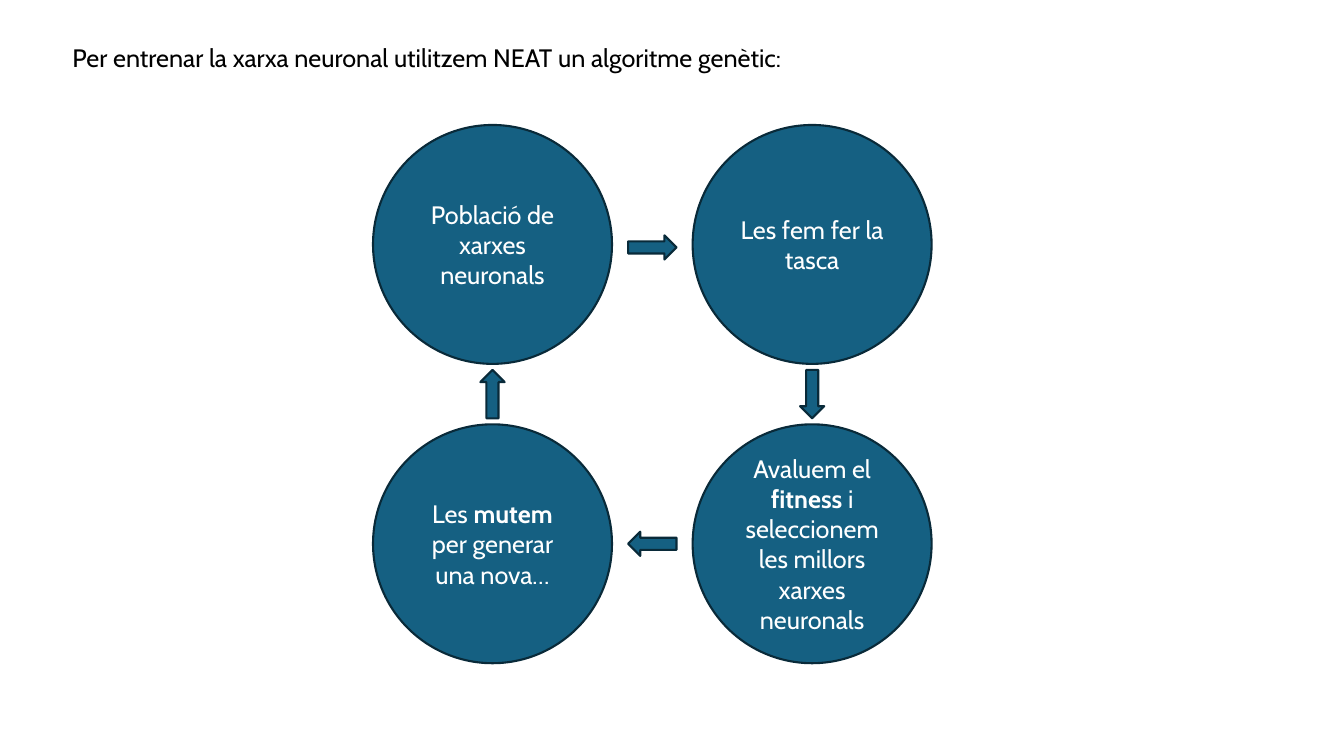
from pptx import Presentation
from pptx.dml.color import RGBColor
from pptx.enum.shapes import MSO_SHAPE
from pptx.enum.text import MSO_ANCHOR, MSO_AUTO_SIZE, PP_ALIGN
from pptx.util import Inches, Pt

OVAL, ARROW = MSO_SHAPE.OVAL, MSO_SHAPE.RIGHT_ARROW
MIDDLE, FIT_SHAPE = MSO_ANCHOR.MIDDLE, MSO_AUTO_SIZE.SHAPE_TO_FIT_TEXT
LEFT, CENTER = PP_ALIGN.LEFT, PP_ALIGN.CENTER

BLACK = RGBColor(0x00, 0x00, 0x00)
WHITE = RGBColor(0xFF, 0xFF, 0xFF)
BLUE = RGBColor(0x15, 0x60, 0x82)
NAVY = RGBColor(0x09, 0x2A, 0x39)

DIAMETER = 2.37
COLUMNS = (3.7, 6.87)
ROWS = (1.24, 4.21)
ARROW_LENGTH, ARROW_HEIGHT = 0.48, 0.24


def write_text(frame, text, color=BLACK, align=LEFT, size=18, font="Cabin"):
    """Fill the first paragraph; parts between asterisks become bold."""
    para = frame.paragraphs[0]
    para.alignment = align
    for index, part in enumerate(text.split("*")):
        span = para.add_run()
        span.text = part
        span.font.name = font
        span.font.size = Pt(size)
        span.font.bold = index % 2 == 1
        span.font.color.rgb = color


def add_blue_shape(kind, left, top, width, height):
    shape = slide.shapes.add_shape(
        kind, Inches(left), Inches(top), Inches(width), Inches(height))
    shape.shadow.inherit = False
    shape.fill.solid()
    shape.fill.fore_color.rgb = BLUE
    shape.line.color.rgb = NAVY
    shape.line.width = Pt(1.5)
    return shape


deck = Presentation()
deck.slide_width, deck.slide_height = Inches(13.33), Inches(7.5)
slide = deck.slides.add_slide(deck.slide_layouts[6])

intro = slide.shapes.add_textbox(Inches(0.62), Inches(0.37), Inches(7.39), Inches(0.4))
intro.text_frame.word_wrap = False
intro.text_frame.auto_size = FIT_SHAPE
write_text(intro.text_frame,
           "Per entrenar la xarxa neuronal utilitzem NEAT un algoritme genètic:")

# Steps of the cycle, clockwise: column, row, text
steps = [
    (0, 0, "Població de xarxes neuronals"),
    (1, 0, "Les fem fer la tasca"),
    (1, 1, "Avaluem el *fitness* i seleccionem les millors xarxes neuronals"),
    (0, 1, "Les *mutem* per generar una nova…"),
]
for column, row, text in steps:
    circle = add_blue_shape(OVAL, COLUMNS[column], ROWS[row], DIAMETER, DIAMETER)
    circle.text_frame.word_wrap = True
    circle.text_frame.vertical_anchor = MIDDLE
    write_text(circle.text_frame, text, color=WHITE, align=CENTER)

# Arrows between the steps: centre x, centre y, rotation
left_x, right_x = (column + DIAMETER / 2 for column in COLUMNS)
top_y, bottom_y = (row + DIAMETER / 2 for row in ROWS)
middle_x, middle_y = (left_x + right_x) / 2, (top_y + bottom_y) / 2
arrows = [
    (middle_x, top_y + 0.03, 0),
    (right_x, middle_y, 90),
    (middle_x, bottom_y, 180),
    (left_x, middle_y, 270),
]
for x, y, rotation in arrows:
    arrow = add_blue_shape(ARROW, x - ARROW_LENGTH / 2, y - ARROW_HEIGHT / 2,
                           ARROW_LENGTH, ARROW_HEIGHT)
    arrow.rotation = rotation

deck.save("out.pptx")
